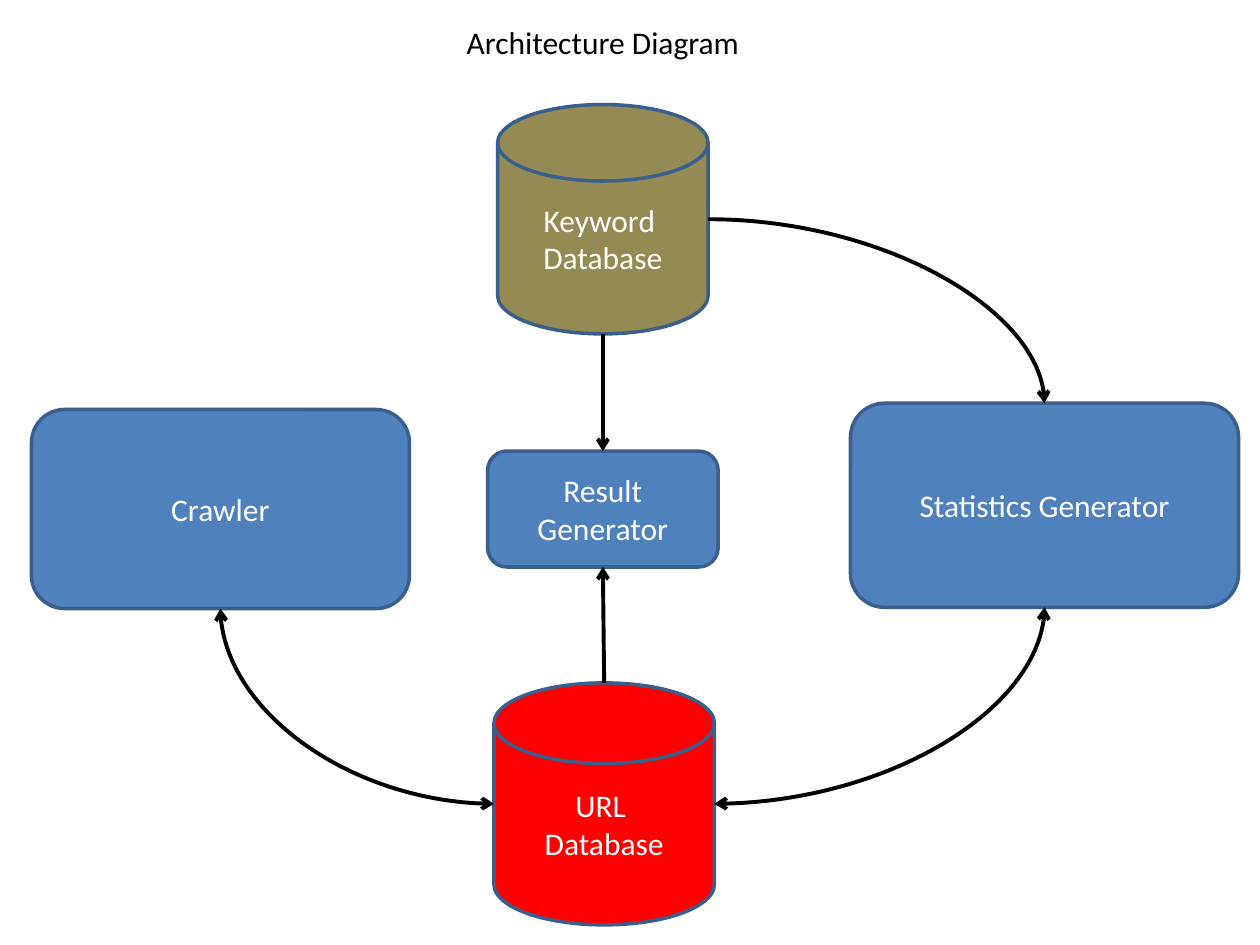
from lxml import etree
from pptx import Presentation
from pptx.dml.color import RGBColor
from pptx.enum import shapes, text
from pptx.oxml.ns import qn
from pptx.util import Inches, Pt

FONT = "Calibri"
BLUE, RED, OLIVE, EDGE = "4F81BD", "FF0000", "948A54", "3A5F8C"
WHITE, BLACK = "FFFFFF", "000000"
ROUNDED = shapes.MSO_SHAPE.ROUNDED_RECTANGLE
DISK = shapes.MSO_SHAPE.FLOWCHART_MAGNETIC_DISK

TITLE = ("Architecture Diagram", (3.16, 0.13, 3.25, 0.4))
NODES = {
    "crawler": (ROUNDED, BLUE, ["Crawler"], (0.25, 3.25, 3, 1.58)),
    "statistics": (ROUNDED, BLUE, ["Statistics Generator"], (6.75, 3.2, 3.08, 1.62)),
    "urls": (DISK, RED, ["URL ", "Database"], (3.92, 5.42, 1.75, 1.92)),
    "keywords": (DISK, OLIVE, ["Keyword ", "Database"], (3.95, 0.83, 1.67, 1.82)),
    "results": (ROUNDED, BLUE, ["Result Generator"], (3.87, 3.58, 1.83, 0.92)),
}
SIDES = {"top": (0.5, 0), "bottom": (0.5, 1), "left": (0, 0.5), "right": (1, 0.5)}
LINKS = [
    ("urls", "left", "crawler", "bottom", True),
    ("urls", "right", "statistics", "bottom", True),
    ("keywords", "bottom", "results", "top", False),
    ("urls", "top", "results", "bottom", False),
    ("keywords", "right", "statistics", "top", False),
]


def color(value):
    return RGBColor.from_string(value)


def write(box, lines, ink):
    frame = box.text_frame
    frame.word_wrap = True
    frame.text = "\n".join(lines)
    for para in frame.paragraphs:
        para.alignment = text.PP_ALIGN.CENTER
        para.font.name = FONT
        para.font.size = Pt(18)
        para.font.color.rgb = color(ink)


def add_node(page, kind, fill, lines, place):
    box = page.shapes.add_shape(kind, *map(Inches, place))
    box.shadow.inherit = False
    box.fill.solid()
    box.fill.fore_color.rgb = color(fill)
    box.line.color.rgb = color(EDGE)
    box.line.width = Pt(2)
    box.text_frame.vertical_anchor = text.MSO_ANCHOR.MIDDLE
    write(box, lines, WHITE)


def anchor(node, side):
    left, top, width, height = NODES[node][3]
    across, down = SIDES[side]
    return Inches(left + across * width), Inches(top + down * height)


def add_link(page, start, start_side, end, end_side, both_ends):
    curved = start_side in ("left", "right")
    kind = shapes.MSO_CONNECTOR.CURVE if curved else shapes.MSO_CONNECTOR.STRAIGHT
    link = page.shapes.add_connector(kind, *anchor(start, start_side), *anchor(end, end_side))
    link.line.color.rgb = color(BLACK)
    link.line.width = Pt(2.25)
    properties = link._element.spPr
    if curved:
        properties.find(qn("a:prstGeom")).set("prst", "curvedConnector2")
    outline = properties.find(qn("a:ln"))
    for tag in ("a:headEnd", "a:tailEnd") if both_ends else ("a:tailEnd",):
        etree.SubElement(outline, qn(tag), type="arrow")
    etree.SubElement(properties, qn("a:effectLst"))


deck = Presentation()
deck.slide_width, deck.slide_height = Inches(10), Inches(7.5)
page = deck.slides.add_slide(deck.slide_layouts[6])
for node in NODES.values():
    add_node(page, *node)
for link in LINKS:
    add_link(page, *link)
heading, place = TITLE
write(page.shapes.add_textbox(*map(Inches, place)), [heading], BLACK)
deck.save("out.pptx")
